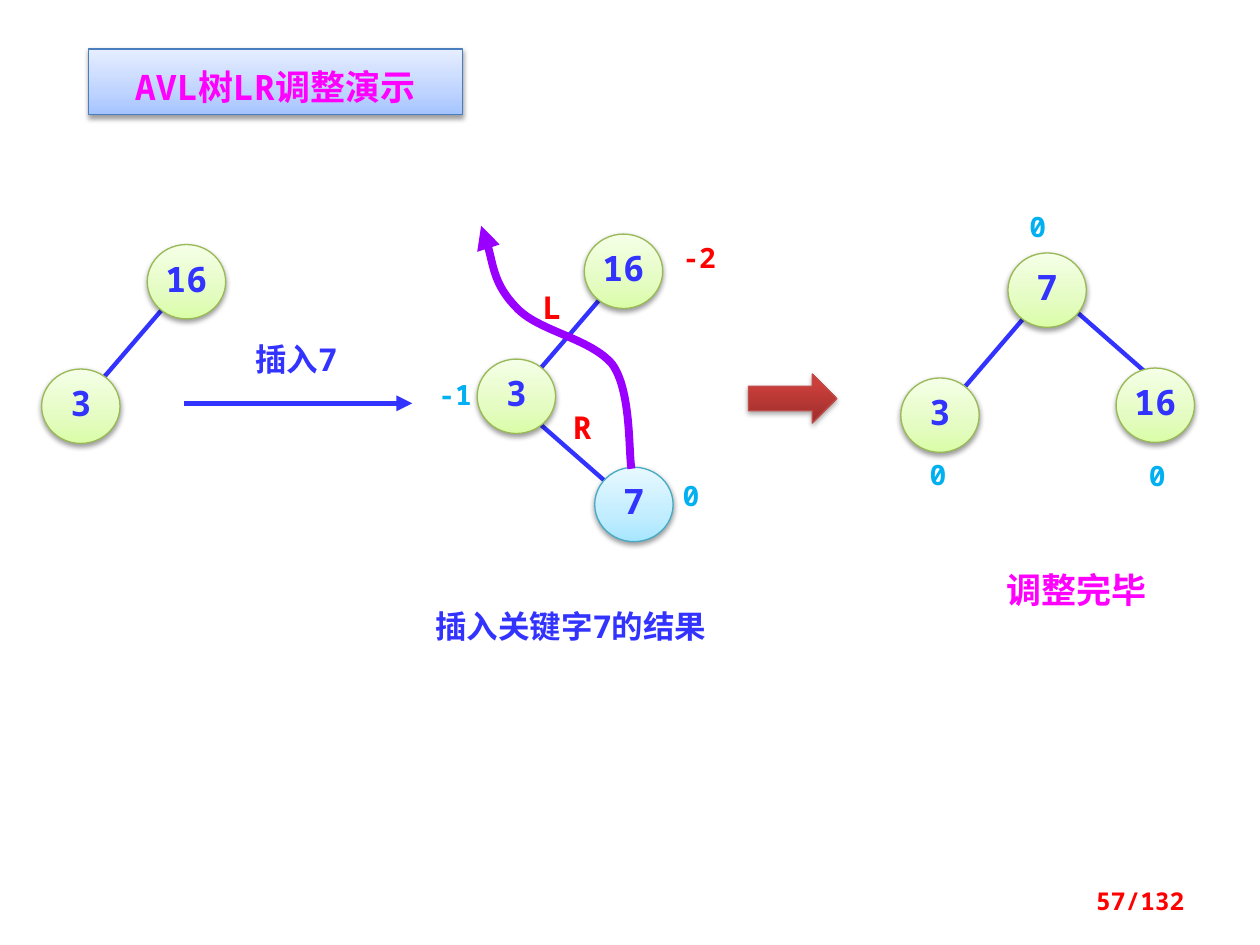
from lxml import etree
from pptx import Presentation
from pptx.dml.color import RGBColor
from pptx.enum.shapes import MSO_CONNECTOR, MSO_SHAPE
from pptx.enum.text import MSO_ANCHOR, PP_ALIGN
from pptx.oxml.ns import qn
from pptx.util import Cm, Pt

OVAL, RECTANGLE, RIGHT_ARROW = MSO_SHAPE.OVAL, MSO_SHAPE.RECTANGLE, MSO_SHAPE.RIGHT_ARROW
STRAIGHT = MSO_CONNECTOR.STRAIGHT
LEFT, CENTER, RIGHT = PP_ALIGN.LEFT, PP_ALIGN.CENTER, PP_ALIGN.RIGHT
TOP, MIDDLE = MSO_ANCHOR.TOP, MSO_ANCHOR.MIDDLE

FONT = "Noto Sans Mono"
BLUE, RED, CYAN, MAGENTA, PURPLE = "3333FF", "FF0000", "00B0F0", "FF00FF", "9900FF"
GREEN_STYLE = ([(0, "DAFDA7"), (35, "E4FCC2"), (100, "F5FFE7")], "98B955")
NEW_NODE_STYLE = ([(0, "A7E6FF"), (35, "C1EDFF"), (100, "E7F8FF")], "46AAC5")
TITLE_STYLE = ([(0, "A4C4FF"), (35, "BFD4FF"), (100, "E6EEFF")], "4B7EBC")
ARROW_STYLE = ([(0, "9C2F2D"), (80, "CB3E3A"), (100, "CE3B37")], "BF4C48")
NODE_WIDTH, NODE_HEIGHT = 1.58, 1.5
LEFT_EDGE = (-1.45, 1.69)
RIGHT_EDGE = (1.55, 1.36)


def rgb(value):
    return RGBColor.from_string(value)


def add_child(parent, tag, **attributes):
    return etree.SubElement(parent, qn(tag), attributes)


def set_line(shape, color, width, arrowhead=False):
    shape.line.color.rgb = rgb(color)
    shape.line.width = Pt(width)
    if arrowhead:
        add_child(shape.get_or_add_ln(), "a:tailEnd", type="triangle")


def write(shape, text, size, color, align=LEFT, spacing=None, anchor=TOP):
    frame = shape.text_frame
    frame.word_wrap = True
    frame.vertical_anchor = anchor
    paragraph = frame.paragraphs[0]
    paragraph.alignment = align
    if spacing:
        paragraph.line_spacing = spacing
    run = paragraph.add_run()
    run.text = text
    run.font.name = FONT
    run.font.size = Pt(size)
    run.font.bold = True
    run.font.color.rgb = rgb(color)


def add_glossy_shape(slide, kind, box, style, shadow_alpha=38):
    stops, outline = style
    shape = slide.shapes.add_shape(kind, *map(Cm, box))
    shape.fill.gradient()
    shape.fill.gradient_angle = 90
    stop_list = shape.element.xpath(".//a:gsLst")[0]
    stop_list.clear()
    for position, color in stops:
        stop = add_child(stop_list, "a:gs", pos=str(position * 1000))
        add_child(stop, "a:srgbClr", val=color)
    set_line(shape, outline, 0.75)
    shape.shadow.inherit = False
    effects = shape.element.xpath(".//a:effectLst")[0]
    shadow = add_child(effects, "a:outerShdw", blurRad=str(Pt(3.1)), dist=str(Pt(1.6)),
                       dir="5400000", rotWithShape="0")
    shadow_color = add_child(shadow, "a:srgbClr", val="000000")
    add_child(shadow_color, "a:alpha", val=str(shadow_alpha * 1000))
    return shape


def add_node(slide, key, x, y, style=GREEN_STYLE):
    box = (x - NODE_WIDTH / 2, y - NODE_HEIGHT / 2, NODE_WIDTH, NODE_HEIGHT)
    node = add_glossy_shape(slide, OVAL, box, style)
    frame = node.text_frame
    frame.margin_left = frame.margin_right = 0
    frame.margin_top, frame.margin_bottom = Cm(0.2), Cm(0.13)
    write(node, key, 20, BLUE, CENTER, 0.8)


def add_straight_line(slide, x, y, run, width, arrowhead=False):
    dx, dy = run
    line = slide.shapes.add_connector(STRAIGHT, Cm(x), Cm(y), Cm(x + dx), Cm(y + dy))
    set_line(line, BLUE, width, arrowhead)
    add_child(line.element.spPr, "a:effectLst")


def add_tree(slide, edges, nodes):
    for x, y, run in edges:
        add_straight_line(slide, x, y, run, 2.5)
    for node in nodes:
        add_node(slide, *node)


def add_label(slide, text, box, size, color, align=LEFT, anchor=TOP):
    label = slide.shapes.add_textbox(*map(Cm, box))
    write(label, text, size, color, align, anchor=anchor)


def add_curved_arrow(slide, points, color, width):
    start, *rest = [(Cm(x), Cm(y)) for x, y in points]
    builder = slide.shapes.build_freeform(*start)
    builder.add_line_segments(rest, close=False)
    curve = builder.convert_to_shape()
    segments = curve.element.xpath(".//a:lnTo")
    for first in range(0, len(segments), 3):
        bezier = etree.Element(qn("a:cubicBezTo"))
        segments[first].addprevious(bezier)
        for segment in segments[first:first + 3]:
            bezier.append(segment[0])
            segment.getparent().remove(segment)
    curve.fill.background()
    set_line(curve, color, width, arrowhead=True)
    curve.shadow.inherit = False


def main():
    presentation = Presentation()
    presentation.slide_width, presentation.slide_height = Cm(25.4), Cm(19.05)
    slide = presentation.slides.add_slide(presentation.slide_layouts[6])

    balanced_edges = [(21.72, 6.3, RIGHT_EDGE), (20.65, 6.4, LEFT_EDGE)]
    balanced_nodes = [("7", 21.11, 5.85), ("3", 18.95, 8.37), ("16", 23.29, 8.17)]
    add_tree(slide, balanced_edges, balanced_nodes)

    initial_edges = [(3.3, 6.2, LEFT_EDGE)]
    initial_nodes = [("16", 3.76, 5.68), ("3", 1.63, 8.19)]
    add_tree(slide, initial_edges, initial_nodes)

    inserted_edges = [(10.67, 8.36, RIGHT_EDGE), (12.12, 6, LEFT_EDGE)]
    inserted_nodes = [("16", 12.57, 5.47), ("3", 10.41, 7.99),
                      ("7", 12.78, 10.17, NEW_NODE_STYLE)]
    add_tree(slide, inserted_edges, inserted_nodes)

    balance_factors = [
        ("0", 20.5, 4.09, 1.19, CYAN),
        ("0", 18.49, 9.09, 1.19, CYAN),
        ("0", 22.91, 9.12, 1.19, CYAN),
        ("0", 13.51, 9.53, 0.79, CYAN),
        ("-2", 13.51, 4.72, 1.57, RED),
        ("-1", 8.59, 7.49, 1.42, CYAN),
    ]
    for factor, x, y, width, color in balance_factors:
        add_label(slide, factor, (x, y, width, 0.94), 16, color)

    captions = [
        ("R", 11.3, 8.1, 0.99, RED),
        ("L", 10.69, 5.69, 0.99, RED),
        ("插入7", 4.9, 6.73, 2.59, BLUE),
        ("插入关键字7的结果", 8.53, 12.12, 7.21, BLUE),
    ]
    for caption, x, y, width, color in captions:
        add_label(slide, caption, (x, y, width, 1.02), 18, color)
    add_label(slide, "调整完毕", (19.3, 11.33, 4.8, 1.12), 20, MAGENTA, CENTER)

    add_straight_line(slide, 3.71, 8.13, (4.6, 0), 3, arrowhead=True)
    rotation_points = [
        (12.73, 9.45),
        (12.67, 9.12), (12.73, 7.87), (12.34, 7.34),
        (11.89, 6.81), (10.85, 6.68), (10.41, 6.2),
        (9.96, 5.74), (9.86, 4.9), (9.7, 4.55),
    ]
    add_curved_arrow(slide, rotation_points, PURPLE, 4.5)

    title = add_glossy_shape(slide, RECTANGLE, (1.78, 0.99, 7.54, 1.32), TITLE_STYLE)
    write(title, "AVL树LR调整演示", 20, MAGENTA, CENTER, 1.25)
    add_glossy_shape(slide, RIGHT_ARROW, (15.09, 7.54, 1.78, 0.99), ARROW_STYLE, 35)
    add_label(slide, "57/132", (18.21, 17.65, 5.92, 1.02), 14, RED, RIGHT, MIDDLE)

    presentation.save("out.pptx")


if __name__ == "__main__":
    main()
